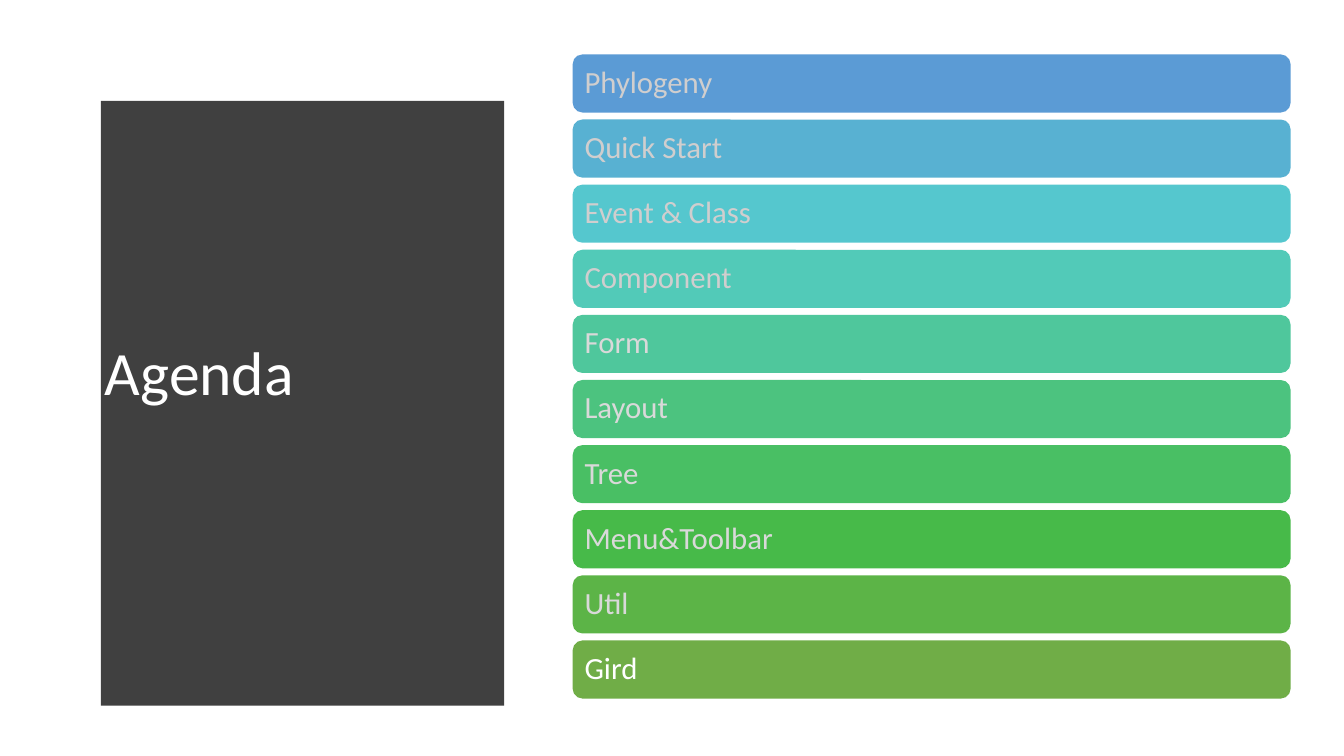
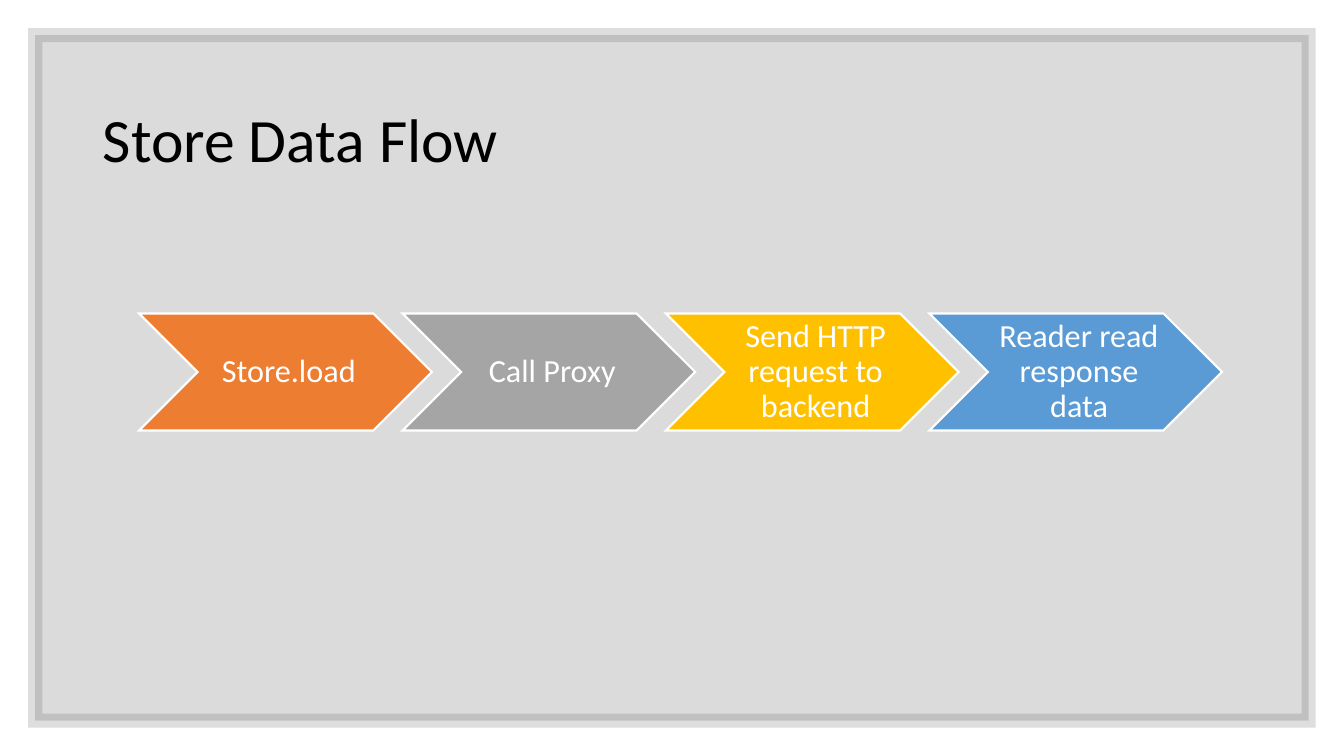
from lxml import etree
from pptx import Presentation
from pptx.dml.color import RGBColor
from pptx.enum.shapes import MSO_SHAPE
from pptx.enum.text import MSO_ANCHOR, MSO_AUTO_SIZE, PP_ALIGN
from pptx.oxml.ns import qn
from pptx.util import Inches, Pt

LEFT, CENTER = PP_ALIGN.LEFT, PP_ALIGN.CENTER
MIDDLE = MSO_ANCHOR.MIDDLE
NO_AUTOFIT = MSO_AUTO_SIZE.NONE
RECTANGLE = MSO_SHAPE.RECTANGLE
ROUNDED = MSO_SHAPE.ROUNDED_RECTANGLE
CHEVRON = MSO_SHAPE.CHEVRON

FONT = "Calibri"
TITLE_SIZE = 44
TITLE_ONLY = 5
COLORS = {
    "white": "FFFFFF",
    "black": "000000",
    "panel": "404040",
    "frame": "262626",
    "past": "D0CECE",
    "recent": "D9D9D9",
    "orange": "ED7D31",
    "gray": "A5A5A5",
    "gold": "FFC000",
    "blue": "5B9BD5",
}


def write(shape, text, size, color, align=LEFT, insets=(0.1, 0.05, 0.1, 0.05)):
    """Put one vertically centred paragraph into a shape or placeholder."""
    frame = shape.text_frame
    frame.text = text
    frame.word_wrap = True
    frame.auto_size = NO_AUTOFIT
    frame.vertical_anchor = MIDDLE
    frame.margin_left, frame.margin_top, frame.margin_right, frame.margin_bottom = map(Inches, insets)
    paragraph = frame.paragraphs[0]
    paragraph.alignment = align
    paragraph.line_spacing = 0.9
    paragraph.font.name = FONT
    paragraph.font.size = Pt(size)
    paragraph.font.color.rgb = RGBColor.from_string(color)


def paint(shape, fill, line=None, width=0):
    """Give a shape a flat fill and an optional sharp-cornered outline."""
    shape.shadow.inherit = False
    shape.fill.solid()
    shape.fill.fore_color.rgb = RGBColor.from_string(fill)
    if line is None:
        shape.line.fill.background()
        return
    shape.line.color.rgb = RGBColor.from_string(line)
    shape.line.width = Pt(width)
    outline = shape.element.spPr.find(qn("a:ln"))
    etree.SubElement(outline, qn("a:miter"), lim="800000")


presentation = Presentation()
presentation.slide_width = Inches(13.33)
presentation.slide_height = Inches(7.5)

slides = []
for title_text, title_color, box in (
    ("Agenda", COLORS["white"], (0.94, 1.11, 3.74, 5.24)),
    ("Store Data Flow", COLORS["black"], (0.92, 0.69, 11.5, 1.45)),
):
    slide = presentation.slides.add_slide(presentation.slide_layouts[TITLE_ONLY])
    title = slide.shapes.title
    title.left, title.top, title.width, title.height = map(Inches, box)
    write(title, title_text, TITLE_SIZE, title_color)
    slides.append(slide)
agenda, data_flow = slides

# Agenda: dark panel whose right edge is a shallow parabola
PANEL_LEFT, PANEL_RIGHT, PANEL_TOP, PANEL_BOTTOM = 0.53, 5.08, 0.52, 6.96
BULGE, CURVE_STEPS = 0.24, 40
curve = []
for step in range(CURVE_STEPS + 1):
    share = step / CURVE_STEPS
    x = PANEL_RIGHT + BULGE * 4 * share * (1 - share)
    y = PANEL_TOP + (PANEL_BOTTOM - PANEL_TOP) * share
    curve.append((x, y))
builder = agenda.shapes.build_freeform(PANEL_LEFT, PANEL_TOP, scale=Inches(1))
builder.add_line_segments(curve + [(PANEL_LEFT, PANEL_BOTTOM)], close=True)
panel = builder.convert_to_shape()
paint(panel, COLORS["panel"])
agenda.shapes.title.element.addprevious(panel.element)

# Agenda: one bar per topic
topics = [
    ("Phylogeny", "5B9BD5", "past"),
    ("Quick Start", "58B1D2", "past"),
    ("Event & Class", "55C7CE", "past"),
    ("Component", "52CAB8", "past"),
    ("Form", "4FC79C", "recent"),
    ("Layout", "4CC37F", "recent"),
    ("Tree", "49BF64", "recent"),
    ("Menu&Toolbar", "47BA49", "recent"),
    ("Util", "5CB447", "recent"),
    ("Gird", "70AD47", "white"),
]
BAR_LEFT, BAR_WIDTH = 5.68, 7.12
BARS_TOP, BARS_BOTTOM, BAR_GAP = 0.54, 6.93, 0.07
bar_pitch = (BARS_BOTTOM - BARS_TOP + BAR_GAP) / len(topics)
for row, (topic, fill, text_color) in enumerate(topics):
    bar = agenda.shapes.add_shape(
        ROUNDED, Inches(BAR_LEFT), Inches(BARS_TOP + row * bar_pitch),
        Inches(BAR_WIDTH), Inches(bar_pitch - BAR_GAP))
    paint(bar, fill)
    write(bar, topic, 22, COLORS[text_color], insets=(0.09,) * 4)

# Data flow: translucent frame behind the title
MARGIN = Inches(0.35)
frame_box = data_flow.shapes.add_shape(
    RECTANGLE, MARGIN, MARGIN,
    presentation.slide_width - 2 * MARGIN, presentation.slide_height - 2 * MARGIN)
paint(frame_box, COLORS["black"], COLORS["frame"], 10)
for color, opacity in zip(frame_box.element.spPr.iter(qn("a:srgbClr")), (14, 15)):
    etree.SubElement(color, qn("a:alpha"), val=str(opacity * 1000))
data_flow.shapes.title.element.addprevious(frame_box.element)

# Data flow: chevrons that overlap by a tenth of their width
steps = [
    ("Store.load", "orange"),
    ("Call Proxy", "gray"),
    ("Send HTTP request to backend", "gold"),
    ("Reader read response data", "blue"),
]
FLOW_LEFT, FLOW_TOP, FLOW_WIDTH = 1.38, 3.11, 10.74
OVERLAP = 0.1
chevron_width = FLOW_WIDTH / (len(steps) - OVERLAP * (len(steps) - 1))
for column, (label, fill) in enumerate(steps):
    chevron = data_flow.shapes.add_shape(
        CHEVRON, Inches(FLOW_LEFT + column * chevron_width * (1 - OVERLAP)),
        Inches(FLOW_TOP), Inches(chevron_width), Inches(chevron_width * 0.4))
    paint(chevron, COLORS[fill], COLORS["white"], 1.5)
    write(chevron, label, 23, COLORS["white"], CENTER, (0.1, 0.03, 0.03, 0.03))

presentation.save("out.pptx")
